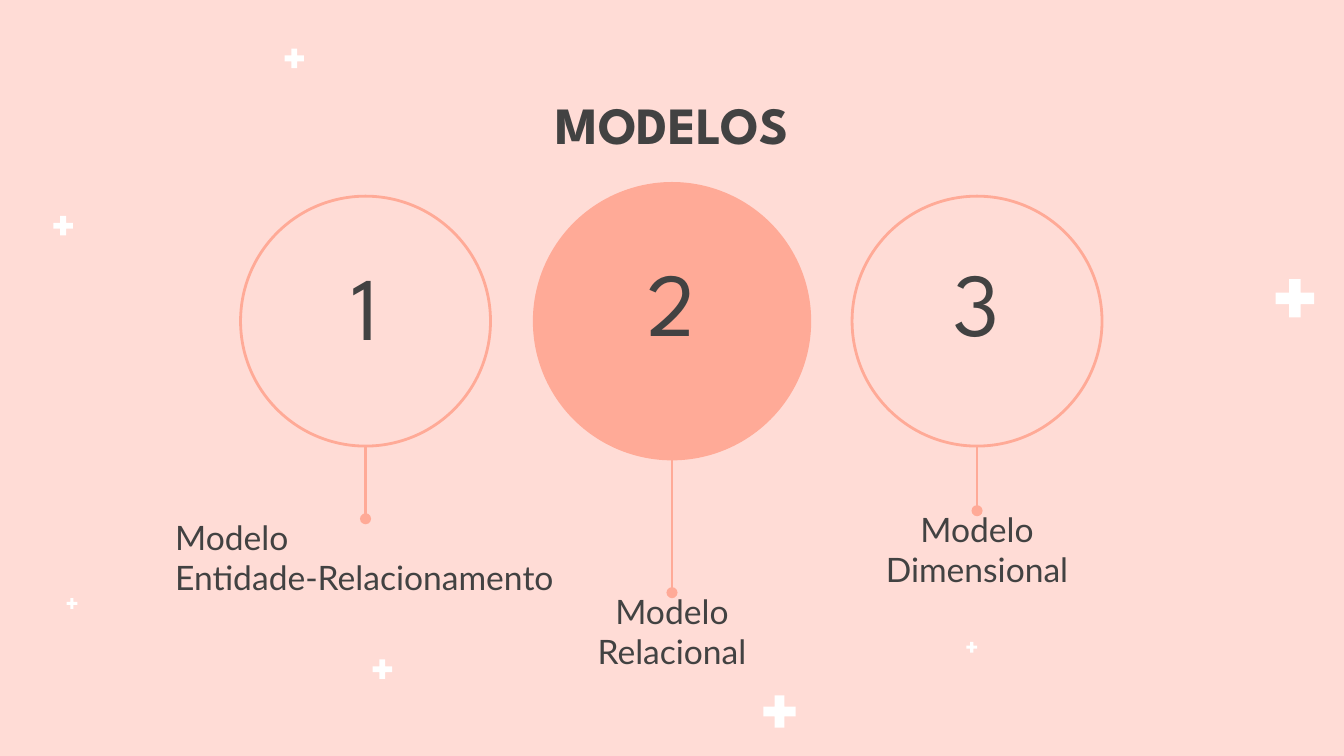
from dataclasses import dataclass

from lxml.etree import SubElement
from pptx import Presentation
from pptx.dml.color import RGBColor
from pptx.enum.shapes import MSO_CONNECTOR, MSO_SHAPE
from pptx.enum.text import MSO_ANCHOR, PP_ALIGN
from pptx.oxml.ns import qn
from pptx.shapes.autoshape import Shape
from pptx.slide import Slide
from pptx.util import Inches, Length, Pt

COLORS = {"back": "FFDCD6", "coral": "FFAA97", "ink": "424242", "plus": "FFFFFF"}
COLS, ROWS = 100, 56.25
MID_ROW = 23.9


@dataclass
class Plus:
    col: float
    row: float
    size: float


@dataclass
class Model:
    num: str
    lines: list[str]
    col: float
    size: float
    num_row: float
    label_row: float
    label_cols: float = 18.6
    filled: bool = False
    align: PP_ALIGN = PP_ALIGN.CENTER


PLUSES = [
    Plus(58, 52.95, 2.4), Plus(21.9, 4.35, 1.45), Plus(4.7, 16.8, 1.45),
    Plus(28.45, 49.8, 1.45), Plus(72.3, 48.15, 0.8), Plus(5.35, 44.9, 0.8),
    Plus(96.35, 22.2, 2.85),
]
MODELS = [
    Model("1", ["Modelo", "Entidade-Relacionamento"], 27.2, 18.6, 22.7, 38.6,
          label_cols=30.3, align=PP_ALIGN.LEFT),
    Model("2", ["Modelo", "Relacional"], 50, 20.5, 22.4, 44.1, filled=True),
    Model("3", ["Modelo", "Dimensional"], 72.7, 18.6, 22.4, 38),
]


def grid(cells: float) -> Length:
    """Turn grid cells into a length."""
    return Inches(cells / 10)


def color(name: str) -> RGBColor:
    """Look up a named colour."""
    return RGBColor.from_string(COLORS[name])


def add_form(slide: Slide, kind: MSO_SHAPE, col: float, row: float, size: float) -> Shape:
    """Add a shape centred on a grid point."""
    form = slide.shapes.add_shape(
        kind, grid(col - size / 2), grid(row - size / 2), grid(size), grid(size))
    form.shadow.inherit = False
    return form


def add_plus(slide: Slide, plus: Plus) -> None:
    """Add a white plus sign."""
    form = add_form(slide, MSO_SHAPE.CROSS, plus.col, plus.row, plus.size)
    form.adjustments[0] = 0.35
    form.fill.solid()
    form.fill.fore_color.rgb = color("plus")
    form.line.fill.background()


def add_text(slide: Slide, lines: list[str], col: float, row: float, cols: float,
             rows: float, font: str, size: float, bold: bool = False,
             align: PP_ALIGN = PP_ALIGN.CENTER,
             anchor: MSO_ANCHOR = MSO_ANCHOR.MIDDLE) -> Shape:
    """Add text in a box centred on a column, with its top at a row."""
    box = slide.shapes.add_textbox(
        grid(col - cols / 2), grid(row), grid(cols), grid(rows))
    frame = box.text_frame
    frame.word_wrap = True
    frame.vertical_anchor = anchor
    frame.margin_left = frame.margin_right = grid(1)
    frame.margin_top = frame.margin_bottom = grid(1)
    frame.text = "\n".join(lines)
    for par in frame.paragraphs:
        par.alignment = align
        par.font.name = font
        par.font.size = Pt(size)
        par.font.bold = bold
        par.font.color.rgb = color("ink")
    return box


def add_stem(slide: Slide, col: float, row: float, label: Shape) -> None:
    """Add a dotted-end line down to the top of a label."""
    stem = slide.shapes.add_connector(
        MSO_CONNECTOR.STRAIGHT, grid(col), grid(row), grid(col), label.top)
    stem.end_connect(label, 0)
    stem.line.color.rgb = color("coral")
    stem.line.width = Pt(1.5)
    SubElement(stem.line._get_or_add_ln(), qn("a:tailEnd"), type="oval")
    SubElement(stem._element.spPr, qn("a:effectLst"))


def add_model(slide: Slide, model: Model) -> None:
    """Add a numbered circle with its stem and label."""
    ring = add_form(slide, MSO_SHAPE.OVAL, model.col, MID_ROW, model.size)
    ring.line.color.rgb = color("coral")
    ring.line.width = Pt(1.5)
    if model.filled:
        ring.fill.solid()
        ring.fill.fore_color.rgb = color("coral")
    else:
        ring.fill.background()
    add_text(slide, [model.num], model.col, model.num_row - 2.2, 18.6, 4.4,
             "League Spartan", 48)
    label = add_text(slide, model.lines, model.col, model.label_row,
                     model.label_cols, 5.7, "Lato", 18, align=model.align)
    add_stem(slide, model.col, MID_ROW + model.size / 2, label)


def main() -> None:
    """Build and save the slide."""
    deck = Presentation()
    deck.slide_width, deck.slide_height = grid(COLS), grid(ROWS)
    slide = deck.slides.add_slide(deck.slide_layouts[6])
    slide.background.fill.solid()
    slide.background.fill.fore_color.rgb = color("back")
    for plus in PLUSES:
        add_plus(slide, plus)
    add_text(slide, ["MODELOS"], COLS / 2, 5.9, 84.4, 6.3, "League Spartan", 28,
             bold=True, anchor=MSO_ANCHOR.TOP)
    for model in MODELS:
        add_model(slide, model)
    deck.save("out.pptx")


if __name__ == "__main__":
    main()
